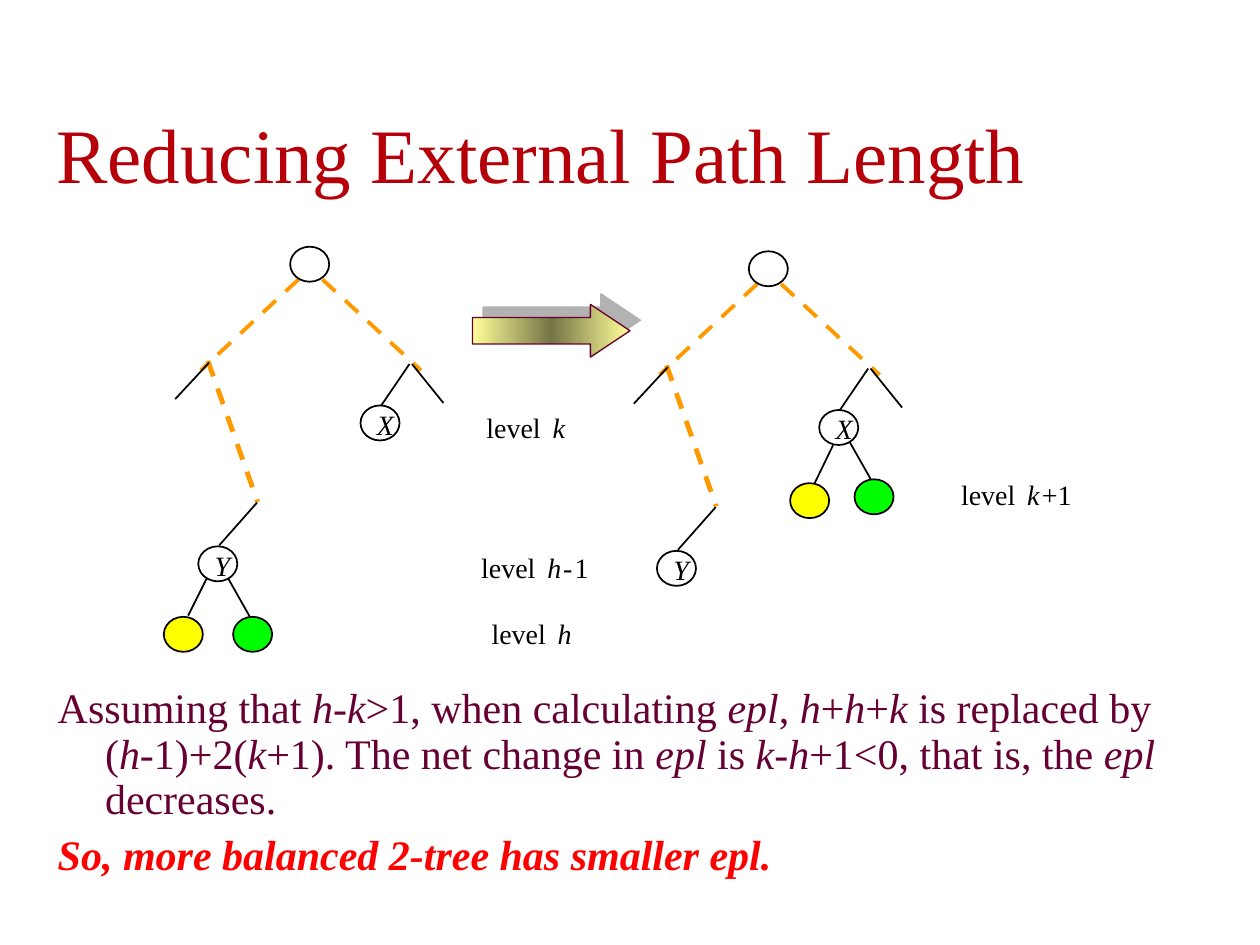
from copy import deepcopy
from dataclasses import dataclass
from math import ceil, dist

from lxml import etree
from pptx import Presentation
from pptx.dml.color import RGBColor
from pptx.enum.shapes import MSO_CONNECTOR, MSO_SHAPE
from pptx.enum.text import MSO_ANCHOR
from pptx.oxml.ns import qn
from pptx.util import Pt

OVAL, ARROW = MSO_SHAPE.OVAL, MSO_SHAPE.RIGHT_ARROW
STRAIGHT = MSO_CONNECTOR.STRAIGHT
TOP, BOTTOM = MSO_ANCHOR.TOP, MSO_ANCHOR.BOTTOM


@dataclass(frozen=True)
class Theme:
    font: str = "Times New Roman"
    title_size: float = 44
    body_size: float = 24
    label_size: float = 16
    title: str = "B60009"
    body: str = "660033"
    accent: str = "FF0000"
    ink: str = "000000"
    branch: str = "FF9900"
    node: str = "FFFFFF"
    yellow: str = "FFFF00"
    green: str = "00FF00"
    glow: str = "FFFF99"
    glow_dark: str = "757546"
    shadow: str = "B2B2B2"


THEME = Theme()
NODE_SIZE = (22.3, 20)

# Tree parts, in points from the tree's top left corner
ROOT, X_NODE, Y_NODE = (72.2, 0), (112.4, 90.7), (19.7, 171.2)
# Long branches: (start, end, dash length, dash period, thickness)
LONG_BRANCHES = [((77, 18.7), (21.2, 70.6), 10.1, 17.6, 2.2),
                 ((90.7, 18.7), (146.9, 70.6), 10.1, 17.6, 2.2),
                 ((25.2, 65.2), (53.6, 145.8), 9.4, 16.8, 2.8)]
EDGES = [((25.9, 66.2), (6.5, 87.1)), ((140.4, 67), (123.8, 91.4)),
         ((141.8, 67), (159.8, 89.3)), ((53.3, 146.2), (31.7, 170.6))]

# Leaf pairs, in points from their parent node: (leaf, edge start, edge end)
LEAVES_OF_Y = [((-19.7, 40.3), (5, 18), (-5.8, 39.6)),
               ((19.9, 40.3), (17.3, 18.7), (29.5, 40.3))]
LEAVES_OF_X = [((-16.6, 41.8), (7.9, 20.2), (-2.9, 42.5)),
               ((20.2, 39.6), (17.3, 18), (29.5, 39.6))]


def rgb(value):
    return RGBColor.from_string(value)


def shift(origin, point):
    return origin[0] + point[0], origin[1] + point[1]


def style(font, size, color, bold=False, italic=False):
    font.name, font.size = THEME.font, Pt(size)
    font.bold, font.italic = bold, italic
    font.color.rgb = rgb(color)


def add_frame(slide, box, inset=(0, 0), wrap=False, anchor=TOP):
    frame = slide.shapes.add_textbox(*map(Pt, box)).text_frame
    frame.word_wrap, frame.vertical_anchor = wrap, anchor
    frame.margin_left = frame.margin_right = Pt(inset[0])
    frame.margin_top = frame.margin_bottom = Pt(inset[1])
    return frame


def add_label(slide, at, text, width, italic=False):
    paragraph = add_frame(slide, (*at, width, 19.4)).paragraphs[0]
    paragraph.text = text
    style(paragraph.font, THEME.label_size, THEME.ink, italic=italic)


def add_line(slide, start, end):
    line = slide.shapes.add_connector(STRAIGHT, *map(Pt, (*start, *end)))
    line.line.color.rgb, line.line.width = rgb(THEME.ink), Pt(1)
    etree.SubElement(line._element.spPr, qn("a:effectLst"))


def add_long_branch(slide, start, end, dash, period, thickness):
    length = dist(start, end)
    ux, uy = (end[0] - start[0]) / length, (end[1] - start[1]) / length
    group = slide.shapes.add_group_shape()
    for index in range(ceil(length / period)):
        near = index * period
        far = min(near + dash, length)
        corners = [(Pt(start[0] + ux * along - uy * side),
                    Pt(start[1] + uy * along + ux * side))
                   for along, side in ((near, thickness / 2), (near, -thickness / 2),
                                       (far, -thickness / 2), (far, thickness / 2))]
        builder = group.shapes.build_freeform(*corners[0])
        builder.add_line_segments(corners[1:], close=True)
        piece = builder.convert_to_shape()
        piece.shadow.inherit = False
        piece.fill.solid()
        piece.fill.fore_color.rgb = rgb(THEME.branch)
        piece.line.fill.background()


def add_node(slide, at, fill=THEME.node, letter=None):
    node = slide.shapes.add_shape(OVAL, *map(Pt, (*at, *NODE_SIZE)))
    node.shadow.inherit = False
    node.fill.solid()
    node.fill.fore_color.rgb = rgb(fill)
    node.line.color.rgb, node.line.width = rgb(THEME.ink), Pt(1)
    if letter:
        add_label(slide, shift(at, (9.4, 1)), letter, 9.5, italic=True)


def add_tree(slide, origin, parent, leaves):
    for start, end, *pattern in LONG_BRANCHES:
        add_long_branch(slide, shift(origin, start), shift(origin, end), *pattern)
    for start, end in EDGES:
        add_line(slide, shift(origin, start), shift(origin, end))
    for at, letter in ((ROOT, None), (X_NODE, "X"), (Y_NODE, "Y")):
        add_node(slide, shift(origin, at), letter=letter)
    # Leaves that move from Y to X
    base = shift(origin, parent)
    for (leaf, start, end), color in zip(leaves, (THEME.yellow, THEME.green)):
        add_node(slide, shift(base, leaf), color)
        add_line(slide, shift(base, start), shift(base, end))


def add_arrow(slide, box):
    arrow = slide.shapes.add_shape(ARROW, *map(Pt, box))
    arrow.adjustments[0], arrow.adjustments[1] = 0.5, 0.75
    arrow.line.color.rgb, arrow.line.width = rgb(THEME.body), Pt(0.75)
    arrow.fill.gradient()
    arrow.fill.gradient_angle = 0
    properties = arrow._element.spPr
    stops = properties.find(".//" + qn("a:gsLst"))
    stops.insert(1, deepcopy(stops[0]))
    colors = (THEME.glow, THEME.glow_dark, THEME.glow)
    for stop, position, color in zip(arrow.fill.gradient_stops, (0, 0.5, 1), colors):
        stop.position, stop.color.rgb = position, rgb(color)
    # Hard offset shadow, up and to the right
    arrow.shadow.inherit = False
    shadow = etree.SubElement(properties.find(qn("a:effectLst")), qn("a:outerShdw"),
                              dist=str(Pt(8.5)), dir=str(315 * 60000), algn="ctr",
                              rotWithShape="0")
    etree.SubElement(shadow, qn("a:srgbClr"), val=THEME.shadow)


def add_level(slide, at, variable, *rest):
    add_label(slide, at, "level", 35.3)
    add_label(slide, shift(at, (37.8, 0)), variable, 7.9, italic=True)
    for text, offset, width in rest:
        add_label(slide, shift(at, (offset, 0)), text, width)


def add_title(slide, box):
    paragraph = add_frame(slide, box, (7.2, 3.6), True, BOTTOM).paragraphs[0]
    paragraph.text = "Reducing External Path Length"
    style(paragraph.font, THEME.title_size, THEME.title)


def add_conclusion(slide, box):
    frame = add_frame(slide, box, (7.2, 3.6), True)
    reason, result = frame.paragraphs[0], frame.add_paragraph()
    for paragraph in (reason, result):
        paragraph.line_spacing, paragraph.space_before = 0.9, Pt(6)
        paragraph._p.get_or_add_pPr().set("marL", str(Pt(27)))
        paragraph._p.get_or_add_pPr().set("indent", str(Pt(-27)))
    # Variables between asterisks are italic
    marked = ("Assuming that *h*-*k*>1, when calculating *epl*, *h*+*h*+*k* is "
              "replaced by (*h*-1)+2(*k*+1). The net change in *epl* is "
              "*k*-*h*+1<0, that is, the *epl* decreases.")
    for index, text in enumerate(marked.split("*")):
        run = reason.add_run()
        run.text = text
        style(run.font, THEME.body_size, THEME.body, italic=index % 2 == 1)
    result.text = "So, more balanced 2-tree has smaller epl."
    style(result.font, THEME.body_size, THEME.accent, bold=True, italic=True)


def main():
    deck = Presentation()
    deck.slide_width, deck.slide_height = Pt(720), Pt(540)
    slide = deck.slides.add_slide(deck.slide_layouts[6])
    add_title(slide, (25.2, 56.5, 680.4, 60.5))
    add_conclusion(slide, (25.9, 389.4, 646.6, 132))
    # Before and after moving the leaves
    add_tree(slide, (93.6, 141), Y_NODE, LEAVES_OF_Y)
    add_tree(slide, (355.7, 143.6), X_NODE, LEAVES_OF_X)
    add_arrow(slide, (270, 173.9, 90, 30.2))
    add_level(slide, (278, 234.7), "k")
    add_level(slide, (275, 314.6), "h", ("-", 46.8, 5), ("1", 53.3, 7.9))
    add_level(slide, (280.9, 352.1), "h")
    add_level(slide, (549.2, 272.9), "k", ("+1", 46.2, 17.3))
    deck.save("out.pptx")


if __name__ == "__main__":
    main()
